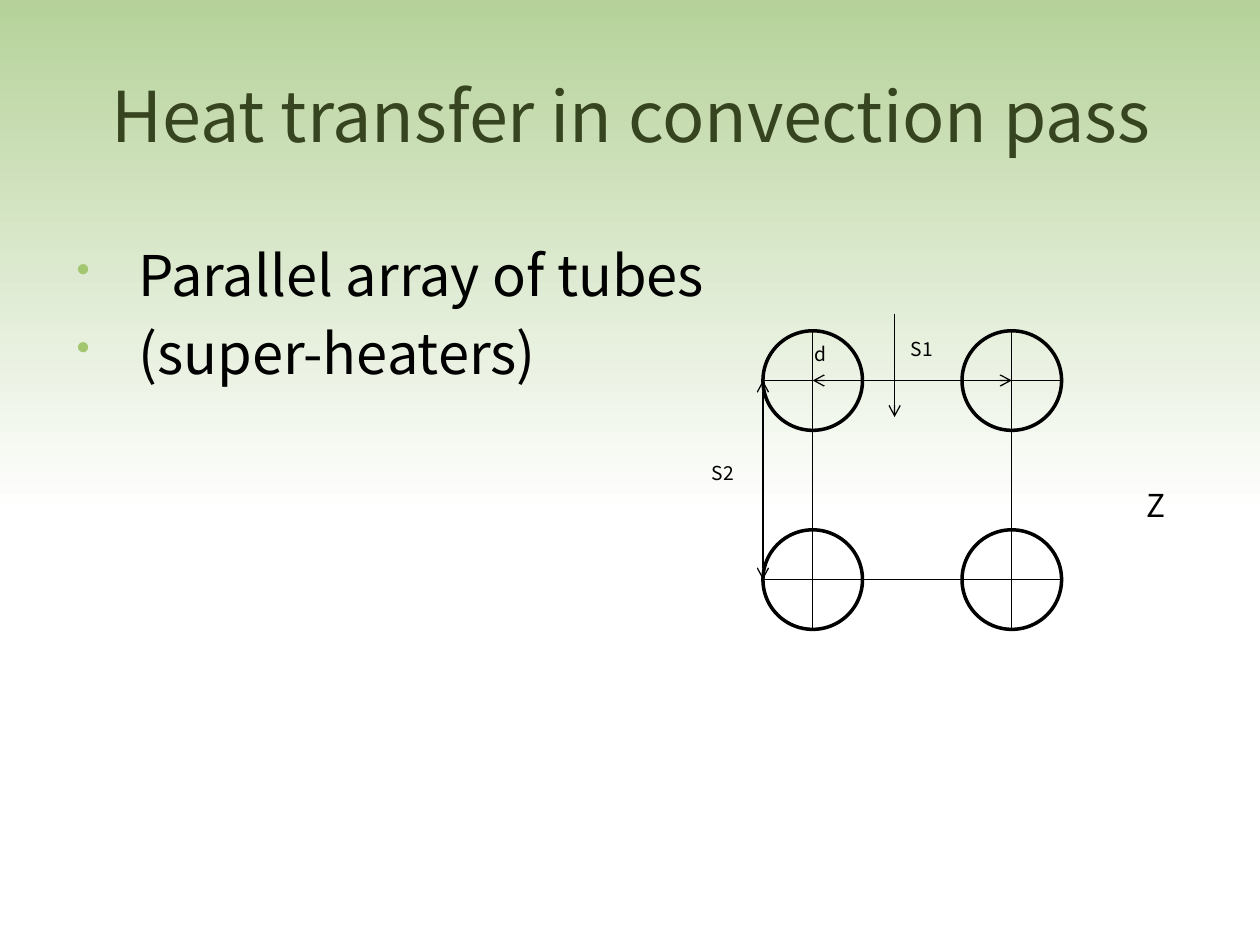
from lxml import etree
from pptx import Presentation
from pptx.dml.color import RGBColor
from pptx.enum.shapes import MSO_CONNECTOR, MSO_SHAPE
from pptx.enum.text import MSO_ANCHOR, PP_ALIGN
from pptx.oxml.ns import qn
from pptx.util import Inches, Pt

RECTANGLE, OVAL = MSO_SHAPE.RECTANGLE, MSO_SHAPE.OVAL
STRAIGHT = MSO_CONNECTOR.STRAIGHT
TOP, MIDDLE = MSO_ANCHOR.TOP, MSO_ANCHOR.MIDDLE
LEFT, CENTER = PP_ALIGN.LEFT, PP_ALIGN.CENTER
FONT = "Noto Sans CJK KR"
COLORS = {"band": "B6D29A", "white": "FFFFFF", "title": "374420",
          "ink": "000000", "bullet": "A3C670"}

# Tube grid: two columns and two rows of equal circles
DIAMETER = 0.79
RADIUS = DIAMETER / 2
PITCH = 2 * DIAMETER
COLUMNS = [6.45, 6.45 + PITCH]
ROWS = [3.02, 3.02 + PITCH]


def color(name):
    return RGBColor.from_string(COLORS[name])


def add_text(box, lines, size, ink="ink", align=LEFT, anchor=TOP, wrap=True):
    """Add a text box with one paragraph per line and return its paragraphs."""
    frame = slide.shapes.add_textbox(*map(Inches, box)).text_frame
    frame.word_wrap = wrap
    frame.vertical_anchor = anchor
    frame.text = "\n".join(lines)
    for paragraph in frame.paragraphs:
        paragraph.alignment = align
        for run in paragraph.runs:
            for name, value in {"name": FONT, "size": Pt(size)}.items():
                setattr(run.font, name, value)
            run.font.color.rgb = color(ink)
    return frame.paragraphs


presentation = Presentation()
presentation.slide_width, presentation.slide_height = Inches(10), Inches(7.5)
slide = presentation.slides.add_slide(presentation.slide_layouts[6])

# Fading band behind the title
band = slide.shapes.add_shape(RECTANGLE, 0, 0, Inches(10), Inches(4.08))
band.shadow.inherit = False
band.line.fill.background()
band.fill.gradient()
band.fill.gradient_angle = 270
for stop, name, position in zip(band.fill.gradient_stops, ("band", "white"), (0, 1)):
    stop.color.rgb = color(name)
    stop.position = position

# Title and bullets
add_text((0.51, 0.28, 9, 1.25), ["Heat transfer in convection pass"], 40,
         "title", CENTER, MIDDLE)
bullets = add_text((0.51, 1.86, 5.75, 4.95),
                   ["Parallel array of tubes", "(super-heaters)"], 32)
for index, paragraph in enumerate(bullets):
    if index:
        paragraph.space_before = Pt(6.4)
    properties = paragraph._p.get_or_add_pPr()
    properties.set("marL", str(Inches(0.49)))
    properties.set("indent", str(Inches(-0.49)))
    bullet_color = etree.SubElement(properties, qn("a:buClr"))
    etree.SubElement(bullet_color, qn("a:srgbClr"), val=COLORS["bullet"])
    etree.SubElement(properties, qn("a:buSzPct"), val="70000")
    etree.SubElement(properties, qn("a:buChar"), char="•")

# Tubes
for row in ROWS:
    for column in COLUMNS:
        tube = slide.shapes.add_shape(OVAL, Inches(column - RADIUS), Inches(row - RADIUS),
                                      Inches(DIAMETER), Inches(DIAMETER))
        tube.shadow.inherit = False
        tube.fill.background()
        tube.line.color.rgb = color("ink")
        tube.line.width = Pt(2)

# Centre lines, dimension arrows and flow arrow: start, end, arrowheads
left, right = COLUMNS[0] - RADIUS, COLUMNS[1] + RADIUS
top, bottom = ROWS[0] - RADIUS, ROWS[1] + RADIUS
lines = [((left, row), (right, row), ()) for row in ROWS]
lines += [((column, top), (column, bottom), ()) for column in COLUMNS]
lines += [
    ((left, ROWS[0]), (left, ROWS[1]), ("headEnd", "tailEnd")),
    ((COLUMNS[0], ROWS[0]), (COLUMNS[1], ROWS[0]), ("headEnd", "tailEnd")),
    ((7.1, 2.49), (7.1, 3.31), ("tailEnd",)),
]
for start, end, arrowheads in lines:
    connector = slide.shapes.add_connector(STRAIGHT, *map(Inches, start + end))
    connector.line.color.rgb = color("ink")
    connector.line.width = Pt(0.75)
    for arrowhead in arrowheads:
        etree.SubElement(connector.line._get_or_add_ln(), qn(f"a:{arrowhead}"), type="arrow")
    etree.SubElement(connector._element.spPr, qn("a:effectLst"))

# Labels
for label, box, size, wrap in [
    ("S2", (5.55, 3.61, 0.51, 0.4), 11, True),
    ("d", (6.37, 2.67, 0.26, 0.4), 11, True),
    ("S1", (7.13, 2.63, 0.51, 0.4), 11, True),
    ("Z", (9, 3.81, 0.35, 0.4), 18, False),
]:
    add_text(box, [label], size, wrap=wrap)

presentation.save("out.pptx")
